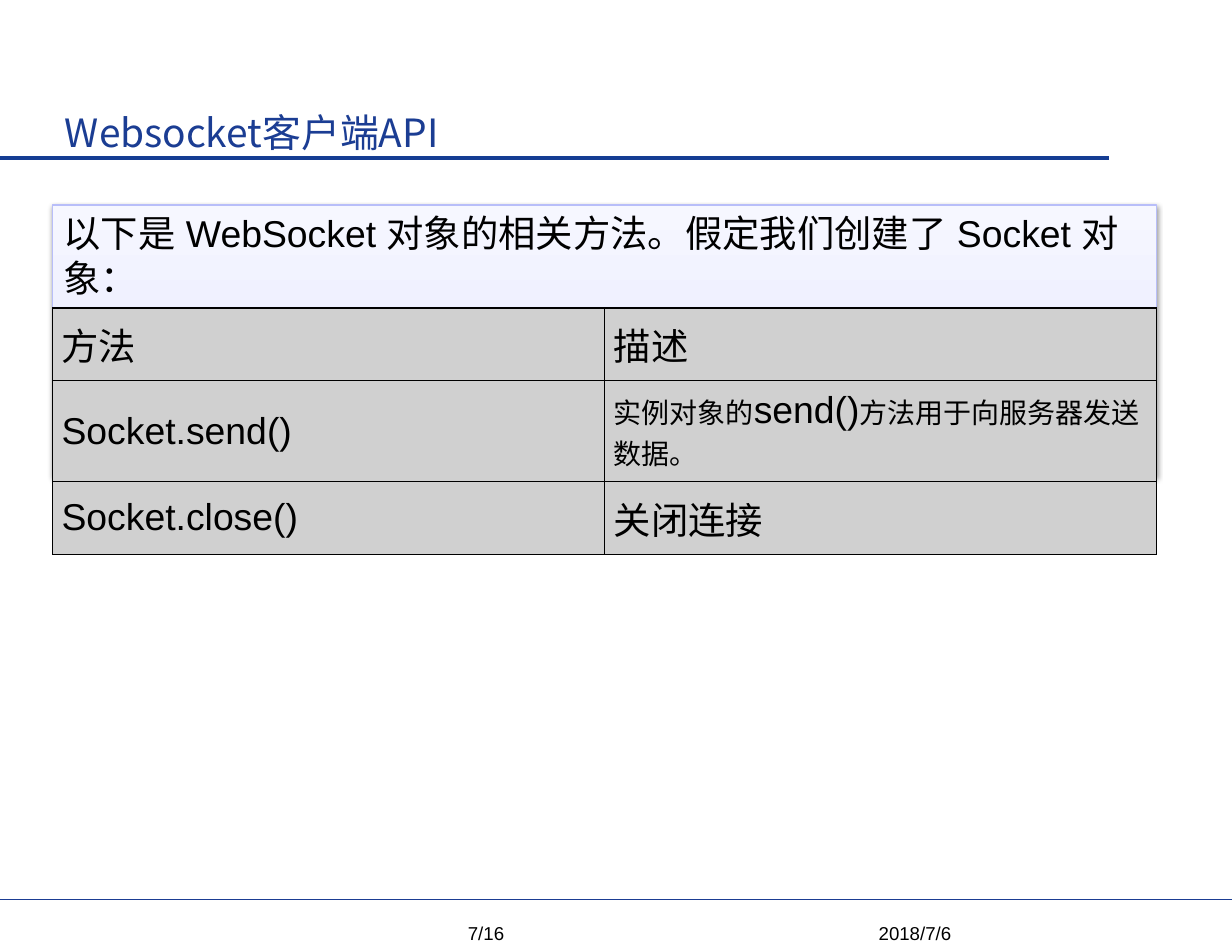
from copy import deepcopy

from lxml import etree
from pptx import Presentation
from pptx.dml.color import RGBColor
from pptx.enum.shapes import MSO_CONNECTOR, MSO_SHAPE
from pptx.enum.text import MSO_ANCHOR, PP_ALIGN
from pptx.oxml import parse_xml
from pptx.oxml.ns import nsdecls, qn
from pptx.util import Inches, Pt

LEFT, CENTER = PP_ALIGN.LEFT, PP_ALIGN.CENTER
TOP, MIDDLE, BOTTOM = MSO_ANCHOR.TOP, MSO_ANCHOR.MIDDLE, MSO_ANCHOR.BOTTOM
RECT, STRAIGHT = MSO_SHAPE.RECTANGLE, MSO_CONNECTOR.STRAIGHT

TITLE = "Websocket客户端API"
INTRO = "以下是 WebSocket 对象的相关方法。假定我们创建了 Socket 对象："
METHODS = [
    ["方法", "描述"],
    ["Socket.send()", [("实例对象的", 18), ("send()", 24), ("方法用于向服务器发送数据。", 18)]],
    ["Socket.close()", "关闭连接"],
]
ROW_HEIGHTS = [0.65, 0.9, 0.65]
FOOTERS = [("7/16", 4.34), ("2018/7/6", 8.17)]
RULES = [(1.41, 9.9, "153D93", 2.25), (8.03, 11, "1B3D93", 0.5)]

THEME = {
    "latin": "Arial",
    "cjk": "Noto Sans CJK SC",
    "title": "1B3D93",
    "text": "000000",
    "cell": "D0D0D0",
    "border": "000000",
    "panel_line": "B8BEF9",
    "panel": [(0, "E1E3FF"), (0.35, "E9EBFF"), (1, "F6F7FF")],
    "title_size": 25,
    "body_size": 24,
    "footer_size": 12,
}
PANEL_X, PANEL_Y, PANEL_W, PANEL_H = 0.47, 1.83, 9.86, 2.42
TABLE_Y = 2.75


def rgb(value):
    return RGBColor.from_string(value)


def write(tf, text, size=THEME["body_size"], color=THEME["text"], font=THEME["latin"],
          east=THEME["latin"], align=LEFT, anchor=TOP, margins=None):
    tf.word_wrap = True
    tf.vertical_anchor = anchor
    if margins:
        tf.margin_left = tf.margin_right = Inches(margins[0])
        tf.margin_top = tf.margin_bottom = Inches(margins[1])
    p = tf.paragraphs[0]
    p.alignment = align
    for part, part_size in [(text, size)] if isinstance(text, str) else text:
        r = p.add_run()
        r.text = part
        r.font.size = Pt(part_size)
        r.font.name = font
        r.font.color.rgb = rgb(color)
        etree.SubElement(r.font._element, qn("a:ea")).set("typeface", east)


def add_box(s, x, y, w, h, text, **fmt):
    sp = s.shapes.add_textbox(Inches(x), Inches(y), Inches(w), Inches(h))
    write(sp.text_frame, text, **fmt)


def add_rule(s, y, end, color, width):
    line = s.shapes.add_connector(STRAIGHT, 0, Inches(y), Inches(end), Inches(y))
    line.line.color.rgb = rgb(color)
    line.line.width = Pt(width)
    etree.SubElement(line._element.spPr, qn("a:effectLst"))


def add_panel(s):
    sp = s.shapes.add_shape(RECT, Inches(PANEL_X), Inches(PANEL_Y), Inches(PANEL_W), Inches(PANEL_H))
    sp.fill.gradient()
    sp.fill.gradient_angle = 90
    stops = sp._element.spPr.find(".//" + qn("a:gsLst"))
    stops.append(deepcopy(stops[-1]))
    for stop, (position, color) in zip(sp.fill.gradient_stops, THEME["panel"]):
        stop.position = position
        stop.color.rgb = rgb(color)
    sp.line.color.rgb = rgb(THEME["panel_line"])
    sp.line.width = Pt(0.75)
    sp.shadow.inherit = False
    sp._element.spPr.find(qn("a:effectLst")).append(parse_xml(
        f'<a:outerShdw {nsdecls("a")} blurRad="{Pt(3.1)}" dist="{Pt(1.6)}" dir="5400000" rotWithShape="0">'
        '<a:srgbClr val="000000"><a:alpha val="38000"/></a:srgbClr></a:outerShdw>'))
    write(sp.text_frame, INTRO)


def style_cell(cell):
    cell.fill.solid()
    cell.fill.fore_color.rgb = rgb(THEME["cell"])
    tc_pr = cell._tc.get_or_add_tcPr()
    for i, side in enumerate(("lnL", "lnR", "lnT", "lnB")):
        tc_pr.insert(i, parse_xml(
            f'<a:{side} {nsdecls("a")} w="{Pt(0.75)}"><a:solidFill>'
            f'<a:srgbClr val="{THEME["border"]}"/></a:solidFill></a:{side}>'))


def add_methods(s):
    cols = len(METHODS[0])
    table = s.shapes.add_table(len(METHODS), cols, Inches(PANEL_X), Inches(TABLE_Y),
                               Inches(PANEL_W), Inches(sum(ROW_HEIGHTS))).table
    table.first_row = table.horz_banding = False
    for col in table.columns:
        col.width = Inches(PANEL_W / cols)
    for row, height, texts in zip(table.rows, ROW_HEIGHTS, METHODS):
        row.height = Inches(height)
        for cell, text in zip(row.cells, texts):
            style_cell(cell)
            cell.margin_left = cell.margin_right = Inches(0.08)
            cell.margin_top = cell.margin_bottom = Inches(0.08)
            cell.vertical_anchor = MIDDLE
            write(cell.text_frame, text, east=THEME["cjk"])
            cell.text_frame._txBody.bodyPr.attrib.clear()


def main():
    prs = Presentation()
    prs.slide_width, prs.slide_height = Inches(11), Inches(8.5)
    s = prs.slides.add_slide(prs.slide_layouts[6])
    for rule in RULES:
        add_rule(s, *rule)
    add_box(s, 0.58, 0.58, 7.95, 0.87, TITLE, size=THEME["title_size"], color=THEME["title"],
            font=THEME["cjk"], east=THEME["cjk"], anchor=BOTTOM, margins=(0, 0.06))
    for text, center in FOOTERS:
        add_box(s, center - 1, 8.13, 2, 0.4, text, size=THEME["footer_size"],
                align=CENTER, anchor=MIDDLE)
    add_panel(s)
    add_methods(s)
    prs.save("out.pptx")


if __name__ == "__main__":
    main()
